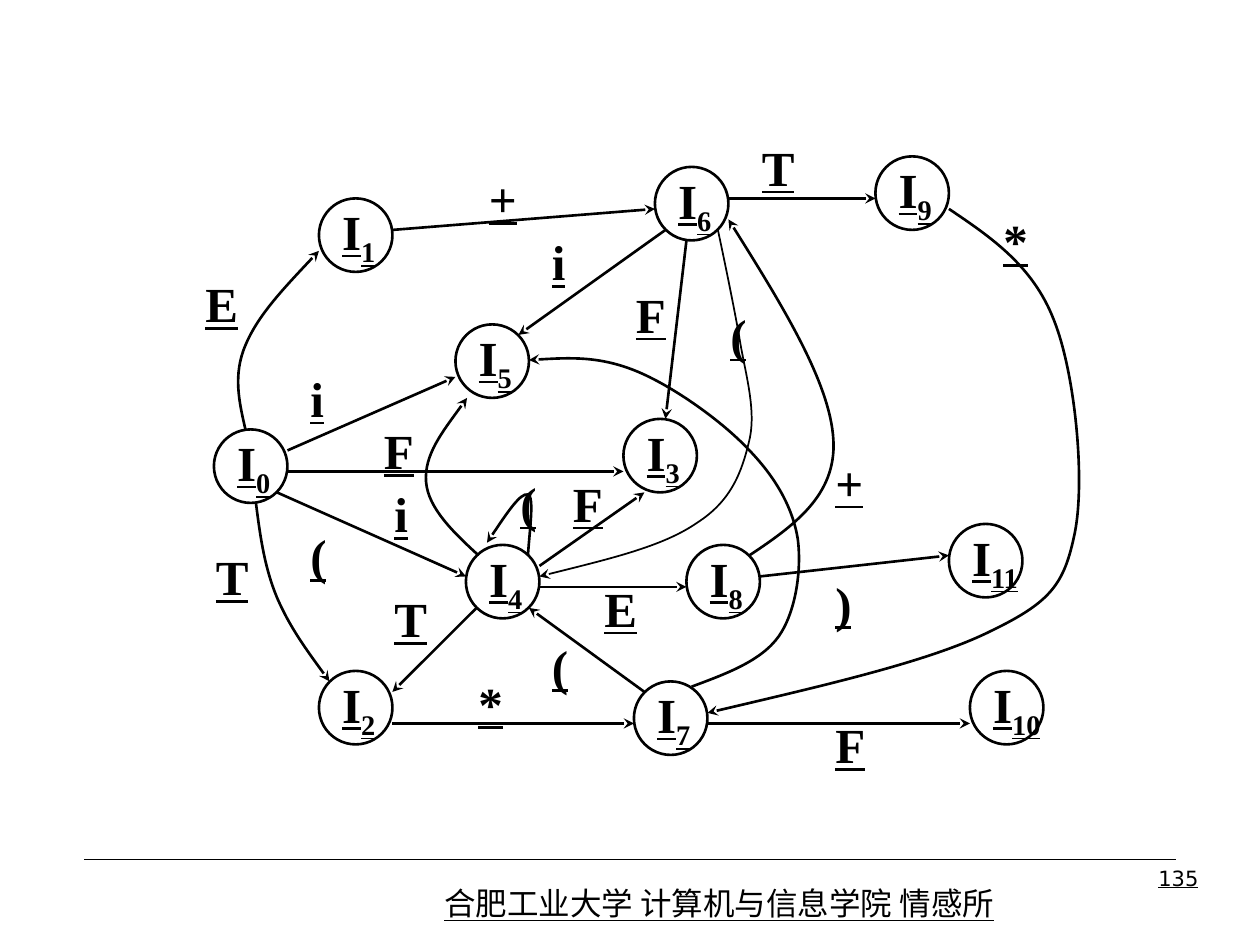
from dataclasses import dataclass

from lxml.etree import SubElement
from pptx import Presentation
from pptx.dml.color import RGBColor
from pptx.enum.shapes import MSO_CONNECTOR as Connector, MSO_SHAPE as Preset
from pptx.enum.text import MSO_ANCHOR as Anchor, PP_ALIGN as Align
from pptx.oxml.ns import qn
from pptx.util import Cm, Pt


@dataclass(frozen=True)
class Theme:
    """Colours, fonts, type sizes and line widths of the slide."""
    ink: RGBColor = RGBColor(0, 0, 0)
    diagram_font: str = "Times New Roman"
    footer_font: str = "Noto Sans CJK SC"
    number_font: str = "DejaVu Sans"
    diagram_size: float = 28
    footer_size: float = 18
    number_size: float = 12
    edge_width: float = 1.5
    thin_edge_width: float = 1
    rule_width: float = 0.25


THEME = Theme()
CELL = 2.54 / 12
DIAGRAM_LEFT, DIAGRAM_TOP = 3.89, 2.73
STATE_SIZE = 7

STATES = [(2, 28), (12, 6), (12, 51), (41, 27), (26, 39), (25, 18),
          (44, 3), (42, 52), (47, 39), (65, 2), (74, 51), (72, 37)]

STRAIGHT_EDGES = [
    ((9, 30), (25, 23)), ((9, 32), (41, 32)), ((8, 34), (26, 42)),
    ((27, 45), (19, 53)), ((43, 53), (32, 45)), ((19, 56), (42, 56)),
    ((49, 56), (74, 56)), ((19, 9), (44, 7)), ((51, 6), (65, 6)),
    ((33, 41), (43, 34)), ((33, 43), (47, 43)), ((45, 9), (31, 19)),
    ((47, 10), (45, 27)), ((54, 42), (72, 40)),
]

CURVED_EDGES = [
    [(5, 28), (4.4, 25.4), (3.8, 22.8), (5, 20),
     (6.2, 17.1), (9.1, 14.1), (12, 11)],
    [(6, 35), (6.4, 38.1), (6.8, 41.1), (8, 44),
     (9.2, 46.8), (11.1, 49.4), (13, 52)],
    [(27.2, 40), (24.8, 37.8), (22.4, 35.5), (22.2, 33),
     (22, 30.4), (24.1, 27.8), (26.1, 25)],
    [(31.9, 40), (32.1, 37.2), (32.5, 34.4), (31.9, 34.2),
     (31.2, 34), (29.6, 36.4), (28, 38.8)],
    [(47.5, 52.5), (50.7, 51.3), (54.1, 50.1), (55.8, 47.7),
     (57.4, 45.4), (58, 41.4), (57.6, 38.4),
     (57.1, 35.4), (55.5, 32.6), (53, 30),
     (50.4, 27.2), (45.6, 23.8), (42.1, 22.4),
     (38.6, 21), (35.2, 21.2), (32, 21.4)],
    [(53, 40), (57.2, 37.2), (61.3, 34.3), (61, 29),
     (60.7, 23.6), (55.9, 15.8), (51, 8)],
    [(72, 7), (76, 9.7), (80, 12.4), (82, 17.6),
     (84, 22.6), (85, 32.7), (84, 37.8),
     (83, 42.7), (81.8, 44.4), (76, 47.2),
     (70.2, 50.1), (59.6, 52.5), (49, 55)],
]

THIN_EDGE = [(50, 9), (50.7, 12.3), (51.4, 15.7), (52, 19),
             (52.5, 22.3), (53.7, 26), (53, 29),
             (52.3, 32), (51.3, 34.8), (48, 36.9),
             (44.7, 39.2), (38.9, 40.5), (33, 42)]

SYMBOLS = [
    ("E", 0, 13, 6), ("+", 27, 3, 6), ("T", 53, 0, 6), ("*", 76, 7, 6),
    ("T", 1, 39, 6), ("T", 18, 43, 6), ("i", 10, 22, 6), ("F", 17, 27, 6),
    ("(", 10, 37, 6), ("i", 18, 33, 6), ("(", 30, 32, 6), ("F", 35, 32, 6),
    ("E", 38, 42, 6), ("(", 50, 16, 6), ("F", 41, 14, 6), ("i", 33, 9, 6),
    ("+", 60, 30, 6), ("F", 60, 55, 6), ("*", 26, 52, 4), ("(", 33, 48, 5),
    (")", 60, 42, 5),
]


def on_grid(column, row):
    """Return the slide position of a grid point of the diagram."""
    return Cm(DIAGRAM_LEFT + column * CELL), Cm(DIAGRAM_TOP + row * CELL)


def write(frame, text, *, font=THEME.diagram_font, size=THEME.diagram_size,
          bold=True, align=Align.LEFT, anchor=Anchor.MIDDLE, wrap=False,
          subscript=""):
    """Write underlined text, with an optional subscript, into a frame."""
    frame.word_wrap = wrap
    frame.vertical_anchor = anchor
    line = frame.paragraphs[0]
    line.alignment = align
    for content, baseline in ((text, None), (subscript, "-25000")):
        if not content:
            continue
        run = line.add_run()
        run.text = content
        run.font.name = font
        run.font.size = Pt(size)
        run.font.bold = bold
        run.font.underline = True
        run.font.color.rgb = THEME.ink
        properties = run.font._element
        SubElement(properties, qn("a:ea")).set("typeface", font)
        if baseline:
            properties.set("baseline", baseline)


def ink_line(line, width):
    """Draw a line in the ink colour."""
    line.color.rgb = THEME.ink
    line.width = Pt(width)


def add_arrowhead(line):
    """Put a stealth arrowhead at the end of a line."""
    SubElement(line._get_or_add_ln(), qn("a:tailEnd")).set("type", "stealth")


def add_line(slide, start, end, width):
    """Add a straight line without a shadow."""
    segment = slide.shapes.add_connector(Connector.STRAIGHT, *start, *end)
    ink_line(segment.line, width)
    SubElement(segment._element.spPr, qn("a:effectLst"))
    return segment


def add_state(slide, number, corner):
    """Add a numbered state circle."""
    size = Cm(STATE_SIZE * CELL)
    state = slide.shapes.add_shape(Preset.OVAL, *on_grid(*corner), size, size)
    state.shadow.inherit = False
    state.fill.background()
    ink_line(state.line, THEME.edge_width)
    write(state.text_frame, "I", subscript=str(number))


def add_curved_edge(slide, points, width):
    """Add an arrow along cubic curves through a start and point triples."""
    start, *controls = [on_grid(*point) for point in points]
    builder = slide.shapes.build_freeform(*start)
    builder.add_line_segments(controls, close=False)
    edge = builder.convert_to_shape()
    edge.shadow.inherit = False
    edge.fill.background()
    ink_line(edge.line, width)
    add_arrowhead(edge.line)
    outline = edge._element.xpath(".//a:path")[0]
    steps = outline.findall(qn("a:lnTo"))
    for first in range(0, len(steps), 3):
        curve = SubElement(outline, qn("a:cubicBezTo"))
        for step in steps[first:first + 3]:
            curve.append(step[0])
            outline.remove(step)


def add_text(slide, text, left, top, width, height, **style):
    """Add a text box."""
    box = slide.shapes.add_textbox(left, top, width, height)
    write(box.text_frame, text, **style)


def add_footer(slide):
    """Add the rule, the institute and the page number."""
    add_line(slide, (Cm(1.7), Cm(17.32)), (Cm(23.7), Cm(17.32)),
             THEME.rule_width)
    plain = dict(bold=False, wrap=True, anchor=Anchor.TOP)
    add_text(slide, "合肥工业大学 计算机与信息学院 情感所",
             Cm(8.71), Cm(17.7), Cm(12.19), Cm(1.02),
             font=THEME.footer_font, size=THEME.footer_size, **plain)
    add_text(slide, "135", Cm(18.9), Cm(17.32), Cm(5.51), Cm(1.32),
             font=THEME.number_font, size=THEME.number_size,
             align=Align.RIGHT, **plain)


def main():
    """Build the state diagram slide."""
    deck = Presentation()
    deck.slide_width, deck.slide_height = Cm(25.4), Cm(19.05)
    slide = deck.slides.add_slide(deck.slide_layouts[6])
    add_footer(slide)
    for number, corner in enumerate(STATES):
        add_state(slide, number, corner)
    for start, end in STRAIGHT_EDGES:
        edge = add_line(slide, on_grid(*start), on_grid(*end),
                        THEME.edge_width)
        add_arrowhead(edge.line)
    for points in CURVED_EDGES:
        add_curved_edge(slide, points, THEME.edge_width)
    add_curved_edge(slide, THIN_EDGE, THEME.thin_edge_width)
    for symbol, column, row, rows in SYMBOLS:
        add_text(slide, symbol, *on_grid(column, row),
                 Cm(STATE_SIZE * CELL), Cm(rows * CELL))
    deck.save("out.pptx")


if __name__ == "__main__":
    main()
